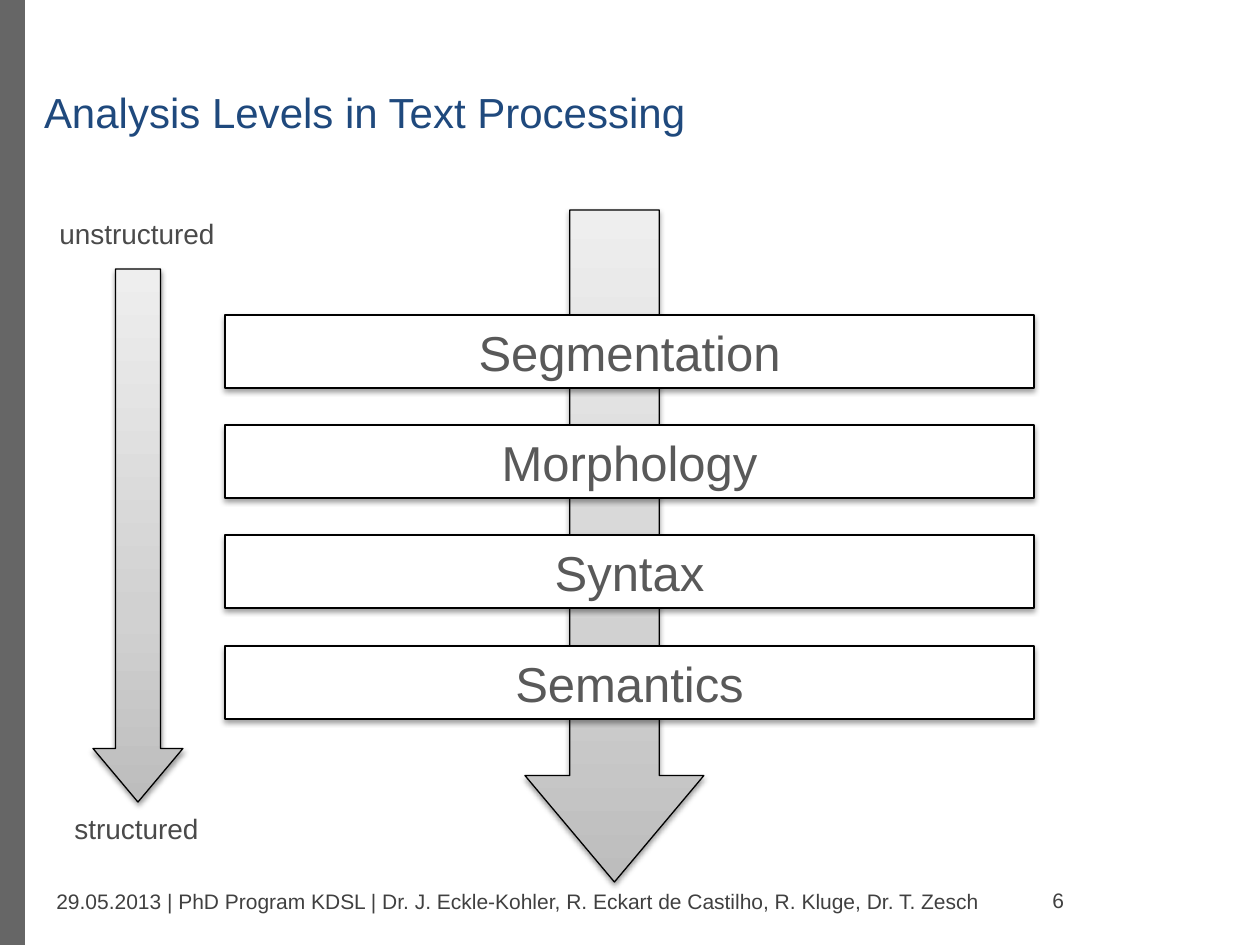
from lxml import etree
from pptx import Presentation
from pptx import util as u
from pptx.dml.color import RGBColor
from pptx.enum import shapes, text
from pptx.oxml import ns

PX = u.Inches(1) / 126
NAVY = RGBColor(0x1F, 0x49, 0x7D)
BAR = RGBColor(0x66, 0x66, 0x66)
WHITE = RGBColor(0xFF, 0xFF, 0xFF)
BLACK = RGBColor(0, 0, 0)
LEVEL_GREY = RGBColor(0x59, 0x59, 0x59)
LABEL_GREY = RGBColor(0x4A, 0x4A, 0x4A)
FOOTER_GREY = RGBColor(0x40, 0x40, 0x40)
GRADIENT = ((0, RGBColor(0xBD, 0xBD, 0xBD)), (35, RGBColor(0xD1, 0xD1, 0xD1)),
            (100, RGBColor(0xEE, 0xEE, 0xEE)))
LEVELS = ("Segmentation", "Morphology", "Syntax", "Semantics")
FOOTER = ("29.05.2013 | PhD Program KDSL | Dr. J. Eckle-Kohler, "
          "R. Eckart de Castilho, R. Kluge, Dr. T. Zesch")


def emu(*box):
    """Turn pixel lengths into EMU."""
    return [u.Emu(round(v * PX)) for v in box]


def sub(parent, tag, **attrs):
    """Append a DrawingML child element."""
    return etree.SubElement(parent, ns.qn("a:" + tag), {k: str(v) for k, v in attrs.items()})


def write(shape, words, size, color, align=text.PP_ALIGN.LEFT,
          anchor=text.MSO_ANCHOR.TOP, wrap=True, inset=None):
    """Put one formatted line of text into a shape."""
    tf = shape.text_frame
    tf.word_wrap = wrap
    tf.vertical_anchor = anchor
    if inset is not None:
        tf.margin_left = tf.margin_top = tf.margin_right = tf.margin_bottom = inset
    p = tf.paragraphs[0]
    p.alignment = align
    r = p.add_run()
    r.text = words
    r.font.name, r.font.size, r.font.color.rgb = "Arial", u.Pt(size), color


def add_outlined(s, kind, box):
    """Add a black-outlined shape with a soft shadow below it."""
    sp = s.shapes.add_shape(kind, *emu(*box))
    sp.line.color.rgb = BLACK
    sp.line.width = u.Pt(0.75)
    sp.shadow.inherit = False
    effects = sp._element.spPr.find(ns.qn("a:effectLst"))
    shadow = sub(effects, "outerShdw", blurRad=u.Pt(3.1), dist=u.Pt(1.6),
                 dir=5400000, rotWithShape=0)
    sub(sub(shadow, "srgbClr", val=BLACK), "alpha", val=38000)
    return sp


def add_arrow(s, box):
    """Add a down arrow that darkens towards its tip."""
    sp = add_outlined(s, shapes.MSO_SHAPE.DOWN_ARROW, box)
    sp.adjustments[0], sp.adjustments[1] = 0.5, 0.595
    sp.fill.gradient()
    sp.fill.gradient_angle = 90
    stops = sp._element.spPr.find(".//" + ns.qn("a:gsLst"))
    for gs in list(stops):
        stops.remove(gs)
    for pos, color in GRADIENT:
        sub(sub(stops, "gs", pos=pos * 1000), "srgbClr", val=color)


def add_label(s, words, box, size, color, **fmt):
    """Add a text box."""
    write(s.shapes.add_textbox(*emu(*box)), words, size, color, **fmt)


def add_title(s, words, box):
    """Move and format the title placeholder."""
    sp = s.shapes.title
    sp.left, sp.top, sp.width, sp.height = emu(*box)
    write(sp, words, 24, NAVY, inset=0)


def add_sidebar(s, box):
    """Add the plain bar at the slide edge."""
    sp = s.shapes.add_shape(shapes.MSO_SHAPE.RECTANGLE, *emu(*box))
    sp.fill.solid()
    sp.fill.fore_color.rgb = BAR
    sp.line.fill.background()
    sp.shadow.inherit = False


def add_levels(s, box, height=73):
    """Spread the analysis levels evenly over the box."""
    x, y, w, h = box
    for i, level in enumerate(LEVELS):
        top = y + (h - height) * i // (len(LEVELS) - 1)
        sp = add_outlined(s, shapes.MSO_SHAPE.RECTANGLE, (x, top, w, height))
        sp.fill.solid()
        sp.fill.fore_color.rgb = WHITE
        write(sp, level, 28, LEVEL_GREY, align=text.PP_ALIGN.CENTER,
              anchor=text.MSO_ANCHOR.MIDDLE)


def add_scale(s, box):
    """Add the arrow from unstructured to structured with its labels."""
    x, y, w, h = box
    add_label(s, "unstructured", (x, y, w, 47), 16, LABEL_GREY, wrap=False)
    add_label(s, "structured", (x + 15, y + h - 47, w - 32, 47), 16, LABEL_GREY, wrap=False)
    add_arrow(s, (x + 46, y + 59, 90, h - 109))


def add_footer(s, box):
    """Add the footer line and the slide number."""
    x, y, w, h = box
    fmt = dict(size=12, color=FOOTER_GREY, anchor=text.MSO_ANCHOR.MIDDLE)
    add_label(s, FOOTER, (x, y, w - 101, h), **fmt)
    add_label(s, "6", (x + w - 88, y - 1, 88, h), **fmt)


def main():
    """Build and save the slide."""
    prs = Presentation()
    prs.slide_width, prs.slide_height = emu(1260, 945)
    s = prs.slides.add_slide(prs.slide_layouts[5])
    add_sidebar(s, (0, 0, 25, 945))
    add_arrow(s, (525, 210, 179, 672))
    add_title(s, "Analysis Levels in Text Processing", (44, 86, 1201, 94))
    add_levels(s, (225, 315, 809, 404))
    add_scale(s, (47, 210, 183, 642))
    add_footer(s, (44, 876, 1084, 50))
    prs.save("out.pptx")


main()
